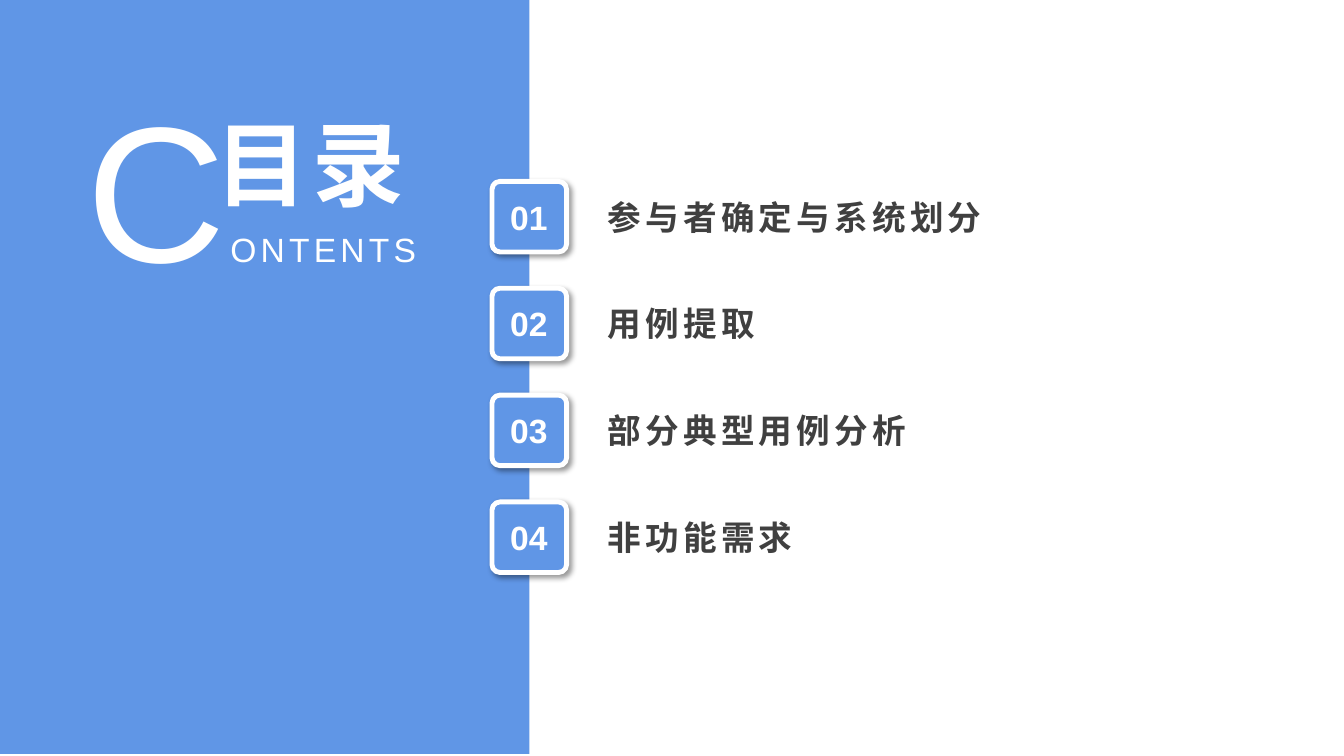
from dataclasses import dataclass

from lxml import etree
from pptx import Presentation
from pptx.dml.color import RGBColor
from pptx.enum.shapes import MSO_SHAPE
from pptx.enum.text import MSO_AUTO_SIZE, PP_ALIGN
from pptx.oxml import parse_xml
from pptx.oxml.ns import nsdecls, qn
from pptx.util import Inches, Pt

RECTANGLE = MSO_SHAPE.RECTANGLE
ROUNDED_RECTANGLE = MSO_SHAPE.ROUNDED_RECTANGLE
LEFT, CENTER, JUSTIFY = PP_ALIGN.LEFT, PP_ALIGN.CENTER, PP_ALIGN.JUSTIFY
FIT_SHAPE = MSO_AUTO_SIZE.SHAPE_TO_FIT_TEXT

BLUE, WHITE, GRAY, BLACK = "6096E6", "FFFFFF", "404040", "000000"
FONT = "Arial"
FIRST_TOP, PITCH = 1.8, 1.06
TITLES = ("参与者确定与系统划分", "用例提取", "部分典型用例分析", "非功能需求")


@dataclass(frozen=True)
class Box:
    left: float
    top: float
    width: float
    height: float

    def lengths(self) -> tuple:
        return tuple(map(Inches, (self.left, self.top, self.width, self.height)))


@dataclass(frozen=True)
class Label:
    box: Box
    runs: tuple[tuple[str, float], ...]
    color: str = WHITE
    bold: bool = True
    alignment: PP_ALIGN = LEFT
    spacing: float = 3


def rgb(color: str) -> RGBColor:
    return RGBColor.from_string(color)


def add_label(shapes, label: Label) -> None:
    text_box = shapes.add_textbox(*label.box.lengths())
    text_frame = text_box.text_frame
    text_frame.word_wrap = True
    text_frame.auto_size = FIT_SHAPE
    paragraph = text_frame.paragraphs[0]
    paragraph.alignment = label.alignment
    paragraph.font.name = FONT
    paragraph.font.bold = label.bold
    paragraph.font.color.rgb = rgb(label.color)
    if len(label.runs) == 1:
        paragraph.font.size = Pt(label.runs[0][1])
    for text, size in label.runs:
        run = paragraph.add_run()
        run.text = text
        if len(label.runs) > 1:
            run.font.size = Pt(size)
        if label.spacing:
            run._r.get_or_add_rPr().set("spc", str(round(label.spacing * 100)))


def add_block(shapes, kind: MSO_SHAPE, box: Box):
    shape = shapes.add_shape(kind, *box.lengths())
    shape.shadow.inherit = False
    shape.fill.solid()
    shape.fill.fore_color.rgb = rgb(BLUE)
    shape.line.fill.background()
    return shape


def add_shadow(shape) -> None:
    effects = shape._element.spPr.find(qn("a:effectLst"))
    shadow = parse_xml(
        f'<a:outerShdw {nsdecls("a")} blurRad="{Pt(4)}" dist="{Pt(3)}" '
        f'dir="{45 * 60000}" algn="tl" rotWithShape="0"/>'
    )
    color = etree.SubElement(shadow, qn("a:srgbClr"), val=BLACK)
    etree.SubElement(color, qn("a:alpha"), val="40000")
    effects.append(shadow)


def add_badge(shapes, number: str, top: float) -> None:
    group = shapes.add_group_shape()
    badge = add_block(group.shapes, ROUNDED_RECTANGLE, Box(4.88, top, 0.74, 0.7))
    badge.adjustments[0] = 0.114
    badge.line.color.rgb = rgb(WHITE)
    badge.line.width = Pt(3.5)
    add_shadow(badge)
    number_box = Box(4.85, top + 0.1, 0.79, 0.5)
    add_label(group.shapes, Label(number_box, ((number, 24),), alignment=CENTER, spacing=0))


def main() -> None:
    presentation = Presentation()
    presentation.slide_width = Inches(13.33)
    presentation.slide_height = Inches(7.5)
    slide = presentation.slides.add_slide(presentation.slide_layouts[6])
    shapes = slide.shapes

    add_block(shapes, RECTANGLE, Box(0, -0.02, 5.25, 7.5))
    add_label(shapes, Label(Box(0.76, 0.64, 3.68, 2.42), (("C", 138), ("ONTENTS", 24)),
                            bold=False, alignment=JUSTIFY))
    add_label(shapes, Label(Box(2.04, 1.01, 2.44, 1.21), (("目录", 66),), alignment=JUSTIFY))

    for index, title in enumerate(TITLES):
        top = FIRST_TOP + index * PITCH
        add_badge(shapes, f"{index + 1:02}", top)
        add_label(shapes, Label(Box(5.93, top + 0.1, 4.03, 0.5), ((title, 24),), GRAY))

    presentation.save("out.pptx")


if __name__ == "__main__":
    main()
